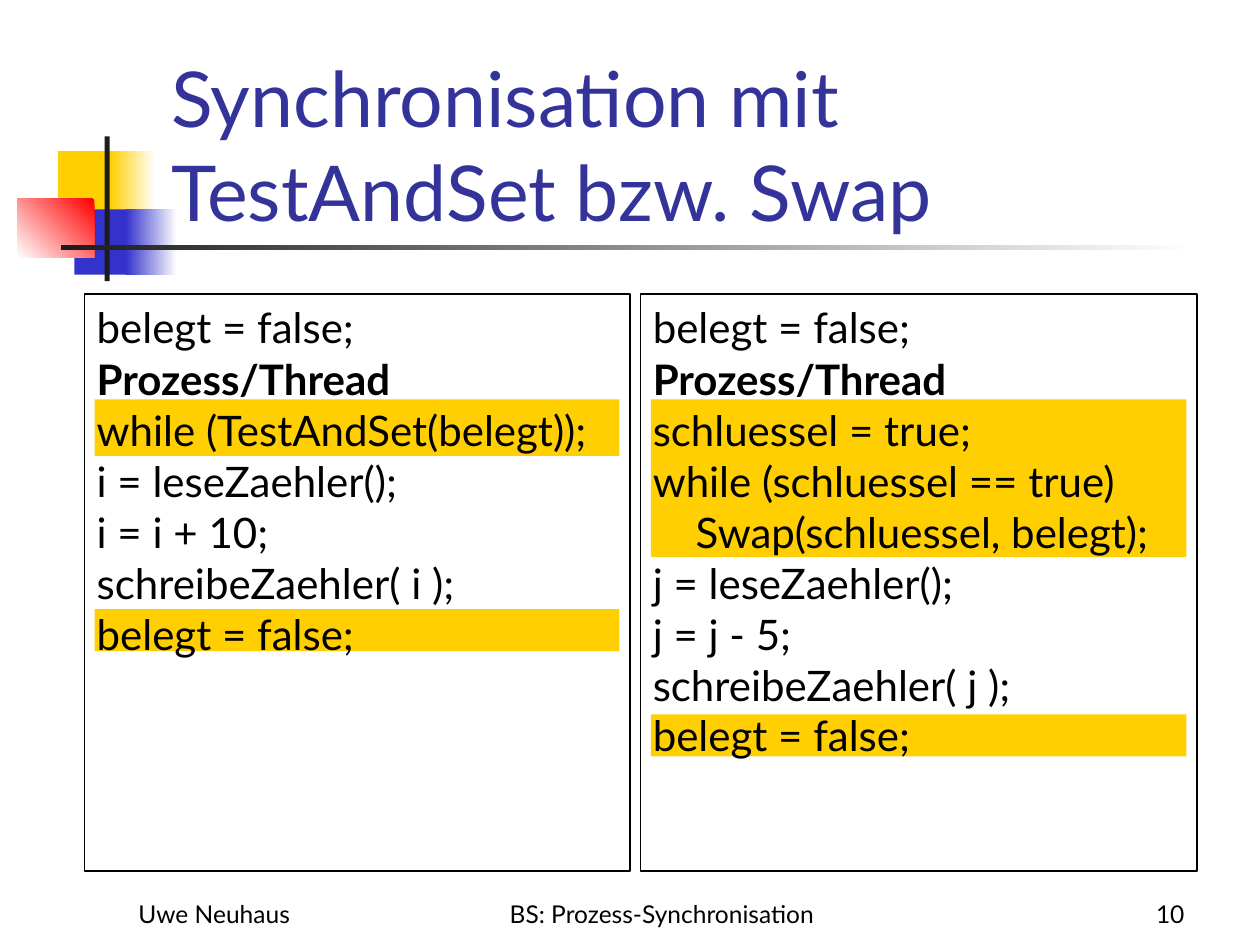
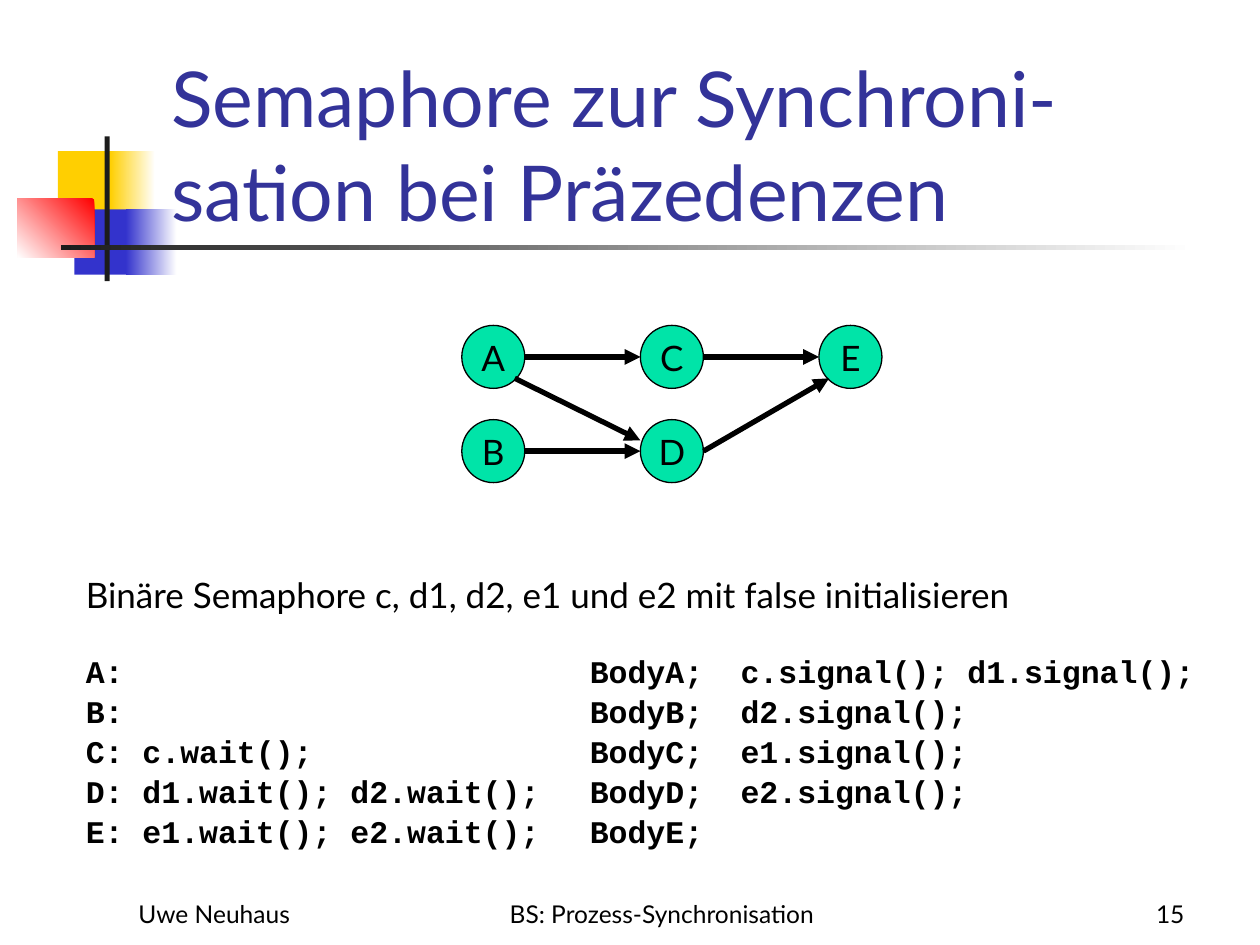
from lxml import etree
from pptx import Presentation
from pptx import util as u
from pptx.dml.color import RGBColor
from pptx.enum import shapes, text
from pptx.oxml.ns import qn

COLORS = {
    "title": "333399", "text": "000000", "white": "FFFFFF", "yellow": "FFCF01",
    "blue": "3333CC", "red": "FF0000", "dark": "1C1C1C", "node": "00E4A8",
}
FONT, CODE_FONT = "Lato", "Courier New"
LINE_SPACING = 1.01
INSETS = (0.25, 0.13)
RECT, OVAL = shapes.MSO_SHAPE.RECTANGLE, shapes.MSO_SHAPE.OVAL
ALIGN, ANCHOR = text.PP_ALIGN, text.MSO_ANCHOR


def rgb(name):
    return RGBColor.from_string(COLORS[name])


def add_block(s, kind, box, fill=None, fade_angle=None, line=None):
    """Preset shape; with fade_angle its fill runs out to white."""
    sp = s.shapes.add_shape(kind, *map(u.Cm, box))
    sp.shadow.inherit = False
    if fade_angle is not None:
        sp.fill.gradient()
        sp.fill.gradient_angle = fade_angle
        for stop, color in zip(sp.fill.gradient_stops, (fill, "white")):
            stop.color.rgb = rgb(color)
    elif fill:
        sp.fill.solid()
        sp.fill.fore_color.rgb = rgb(fill)
    else:
        sp.fill.background()
    if line:
        sp.line.color.rgb = rgb(line)
        sp.line.width = u.Pt(0.75)
    else:
        sp.line.fill.background()
    return sp


def set_frame(sp, anchor, insets=INSETS):
    tf = sp.text_frame
    tf.word_wrap = True
    tf.auto_size = text.MSO_AUTO_SIZE.NONE
    tf.vertical_anchor = anchor
    tf.margin_left = tf.margin_right = u.Cm(insets[0])
    tf.margin_top = tf.margin_bottom = u.Cm(insets[1])
    return tf


def write(tf, lines, size, color="text", font=FONT, bold=(), align=ALIGN.LEFT,
          spacing=LINE_SPACING, tabs=()):
    """One paragraph per line; bold holds the indexes of bold lines."""
    for i, line in enumerate(lines):
        p = tf.add_paragraph() if i else tf.paragraphs[0]
        if tabs:
            tab_list = etree.SubElement(p._p.get_or_add_pPr(), qn("a:tabLst"))
            for pos in tabs:
                etree.SubElement(tab_list, qn("a:tab"), pos=str(u.Cm(pos)), algn="l")
        p.alignment = align
        p.line_spacing = spacing
        r = p.add_run()
        r.text = line
        r.font.name, r.font.size = font, u.Pt(size)
        r.font.bold = i in bold
        r.font.color.rgb = rgb(color)


def add_text(s, box, lines, size, anchor=ANCHOR.TOP, **style):
    tb = s.shapes.add_textbox(*map(u.Cm, box))
    write(set_frame(tb, anchor), lines, size, **style)


def add_ornament(s, left, top):
    """Coloured squares and crossing bars beside the title."""
    for x, y, w, h, color, angle in (
        (0.82, 0.3, 1.21, 1.32, "yellow", None),
        (1.87, 0.3, 0.91, 1.32, "yellow", 0),
        (1.15, 1.47, 1.17, 1.32, "blue", None),
        (2.19, 1.47, 1.02, 1.32, "blue", 0),
        (0, 1.26, 1.55, 1.18, "red", 225),
        (1.76, 0, 0.1, 2.92, "dark", None),
        (0.88, 2.19, 22.86, 0.1, "dark", 0),
    ):
        add_block(s, RECT, (left + x, top + y, w, h), color, angle)


def add_footer(s, top, number):
    for left, width, label, align in (
        (2.54, 5.28, "Uwe Neuhaus", ALIGN.LEFT),
        (9.32, 8.05, "BS: Prozess-Synchronisation", ALIGN.CENTER),
        (18.85, 5.28, str(number), ALIGN.RIGHT),
    ):
        add_text(s, (left, top, width, 0.86), [label], 14, ANCHOR.BOTTOM, align=align)


def new_slide(prs, title, number):
    s = prs.slides.add_slide(prs.slide_layouts[5])
    add_ornament(s, 0.35, 2.75)
    add_footer(s, 17.98, number)
    sp = s.shapes.title
    s.shapes.element.append(sp.element)  # title in front of the ornament
    sp.left, sp.top, sp.width, sp.height = map(u.Cm, (3.2, 0.89, 21.64, 4.01))
    write(set_frame(sp, ANCHOR.BOTTOM), [title], 44, "title")
    return s


def add_code_panel(s, box, code, highlights):
    """Framed code; highlights are (top, height) bands within the box."""
    left, top, width, _ = box
    for y, h in highlights:
        add_block(s, RECT, (left + 0.21, top + y, width - 0.42, h), "yellow")
    frame = add_block(s, RECT, box, line="text")
    tf = set_frame(frame, ANCHOR.TOP)
    write(tf, code, 24, bold=(1,))
    tf.paragraphs[1].space_before = u.Pt(1)


def add_arrow(s, start, end):
    cx = s.shapes.add_connector(shapes.MSO_CONNECTOR.STRAIGHT, *map(u.Cm, start + end))
    cx.line.color.rgb = rgb("text")
    cx.line.width = u.Pt(3)
    etree.SubElement(cx.line._get_or_add_ln(), qn("a:tailEnd"), type="triangle")
    etree.SubElement(cx._element.spPr, qn("a:effectLst"))


def add_precedence_graph(s, left, top):
    size, step_x, step_y = 1.27, 3.6, 1.9
    cells = {"A": (0, 0), "B": (0, 1), "C": (1, 0), "D": (1, 1), "E": (2, 0)}
    corners = {n: (left + c * step_x, top + r * step_y) for n, (c, r) in cells.items()}
    for name, corner in corners.items():
        node = add_block(s, OVAL, corner + (size, size), "node", line="text")
        write(set_frame(node, ANCHOR.MIDDLE, (0, 0)), [name], 20, align=ALIGN.CENTER)

    def point(name, fx, fy):
        x, y = corners[name]
        return x + fx * size, y + fy * size

    west, east = (0, 0.5), (1, 0.5)
    for source, out, target, into in (
        ("B", east, "D", west),
        ("A", east, "C", west),
        ("C", east, "E", west),
        ("A", (0.84, 0.84), "D", (0, 0.33)),
        ("D", east, "E", (0.16, 0.84)),
    ):
        add_arrow(s, point(source, *out), point(target, *into))


def build_lock_slide(prs):
    s = new_slide(prs, "Synchronisation mit TestAndSet bzw. Swap", 10)
    opening = ["belegt = false;", "Prozess/Thread"]
    add_code_panel(s, (1.7, 5.93, 11, 11.63), opening + [
        "while (TestAndSet(belegt));",
        "i = leseZaehler();",
        "i = i + 10;",
        "schreibeZaehler( i );",
        "belegt = false;",
    ], [(2.12, 1.14), (6.35, 0.85)])
    add_code_panel(s, (12.91, 5.93, 11.22, 11.63), opening + [
        "schluessel = true;",
        "while (schluessel == true)",
        "    Swap(schluessel, belegt);",
        "j = leseZaehler();",
        "j = j - 5;",
        "schreibeZaehler( j );",
        "belegt = false;",
    ], [(2.12, 3.18), (8.47, 0.85)])


def build_semaphore_slide(prs):
    s = new_slide(prs, "Semaphore zur Synchroni-sation bei Präzedenzen", 15)
    add_precedence_graph(s, 9.31, 6.56)
    add_text(s, (1.48, 11.43, 22.43, 1.12),
             ["Binäre Semaphore c, d1, d2, e1 und e2 mit false initialisieren"], 20)
    add_text(s, (1.48, 12.97, 23.06, 4.02), [
        "A:\tBodyA;\tc.signal(); d1.signal();",
        "B:\tBodyB;\td2.signal();",
        "C: c.wait();\tBodyC;\te1.signal();",
        "D: d1.wait(); d2.wait();\tBodyD;\te2.signal();",
        "E: e1.wait(); e2.wait();\tBodyE;",
    ], 18, font=CODE_FONT, bold=range(5), spacing=1.06, tabs=(10.16, 13.2))


def main():
    prs = Presentation()
    prs.slide_width, prs.slide_height = u.Cm(25.4), u.Cm(19.05)
    build_lock_slide(prs)
    build_semaphore_slide(prs)
    prs.save("out.pptx")


if __name__ == "__main__":
    main()
